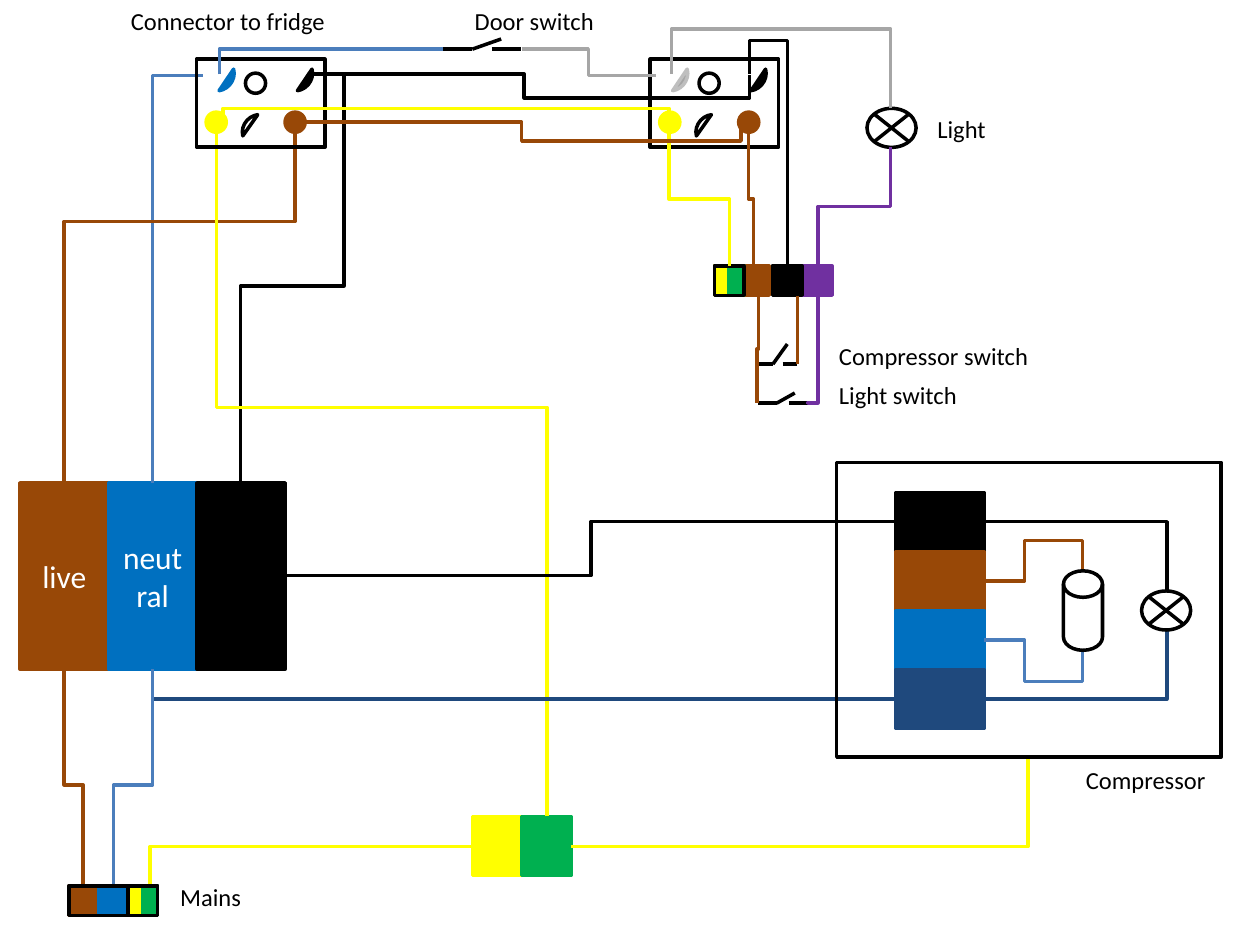
from lxml import etree
from pptx import Presentation
from pptx import util as u
from pptx.dml.color import RGBColor
from pptx.enum import shapes, text
from pptx.oxml.ns import qn

COLORS = {
    "black": "000000", "white": "FFFFFF", "brown": "984807", "blue": "0070C0",
    "wire blue": "4B7EBC", "navy": "1F497D", "yellow": "FFFF00",
    "green": "00B050", "purple": "7030A0", "gray": "A6A6A6", "silver": "BFBFBF",
}
FORM = shapes.MSO_SHAPE
PIN = 16.9  # side of a small terminal


class Diagram:
    font = "Calibri"
    line_width = 2

    def __init__(self, slide):
        self.slide = slide

    def color(self, name):
        return RGBColor.from_string(COLORS[name])

    def block(self, form, x, y, w, h, fill=None, line=None, label="", turn=0):
        block = self.slide.shapes.add_shape(form, *map(u.Pt, (x, y, w, h)))
        block.shadow.inherit = False
        block.rotation = turn
        if fill:
            block.fill.solid()
            block.fill.fore_color.rgb = self.color(fill)
        else:
            block.fill.background()
        block.line.color.rgb = self.color(line or fill or "black")
        block.line.width = u.Pt(self.line_width)
        if label:
            block.text_frame.text = label
            self.style(block.text_frame.paragraphs[0], 18, "white")
            block.text_frame.paragraphs[0].alignment = text.PP_ALIGN.CENTER
        return block

    def style(self, paragraph, size, color):
        paragraph.font.name = self.font
        paragraph.font.size = u.Pt(size)
        paragraph.font.color.rgb = self.color(color)

    def caption(self, words, x, y, w):
        box = self.slide.shapes.add_textbox(*map(u.Pt, (x, y, w, 24.2)))
        frame = box.text_frame
        frame.word_wrap = False
        frame.auto_size = text.MSO_AUTO_SIZE.SHAPE_TO_FIT_TEXT
        frame.text = words
        self.style(frame.paragraphs[0], 14, "black")

    def connector(self, kind, color, *ends):
        wire = self.slide.shapes.add_connector(kind, *map(u.Pt, ends))
        wire.line.color.rgb = self.color(color)
        wire.line.width = u.Pt(self.line_width)
        etree.SubElement(wire._element.spPr, qn("a:effectLst"))
        return wire

    def line(self, color, *ends):
        self.connector(shapes.MSO_CONNECTOR.STRAIGHT, color, *ends)

    def wire(self, color, direction, x, y, *stops):
        """Elbow wire; stops are the coordinates reached in turn, axis by axis."""
        start = (x, y) if direction == "h" else (y, x)
        # The last two stops give the end point on either axis
        end = [0, 0]
        for i, stop in enumerate(stops):
            end[i % 2] = stop
        along, across = end[0] - start[0], end[1] - start[1]
        bends = [(stops[i] - start[i]) / (along, across)[i]
                 for i in range(len(stops) - 2)]
        if direction == "h":
            dx, dy, turn = along, across, 0
            mid_x, mid_y = x + dx / 2, y + dy / 2
        else:
            mid_x, mid_y = x + across / 2, y + along / 2
            quarter = 1 if along * across < 0 else -1
            dx, dy, turn = quarter * along, -quarter * across, 90 * quarter % 360
        wire = self.connector(shapes.MSO_CONNECTOR.ELBOW, color, mid_x - dx / 2,
                              mid_y - dy / 2, mid_x + dx / 2, mid_y + dy / 2)
        # Turn, number of bends and their places
        properties = wire._element.spPr
        if turn:
            properties.find(qn("a:xfrm")).set("rot", str(turn * 60000))
        shape = properties.find(qn("a:prstGeom"))
        shape.set("prst", f"bentConnector{len(stops)}")
        guides = shape.find(qn("a:avLst"))
        if guides is None:
            guides = etree.SubElement(shape, qn("a:avLst"))
        for i, bend in enumerate(bends, 1):
            etree.SubElement(guides, qn("a:gd"), name=f"adj{i}",
                             fmla=f"val {round(bend * 100000)}")

    def earth_pin(self, x, y):
        for i, half in enumerate(("yellow", "green")):
            self.block(FORM.RECTANGLE, x + i * PIN / 2, y, PIN / 2, PIN, half)
        self.block(FORM.RECTANGLE, x, y, PIN, PIN)

    def socket(self, x, y, neutral, neutral_line):
        for dx, dy, turn, fill, line in (
                (48.2, 0.9, 311.6, "black", "black"),
                (3.4, 0.9, 311.6, neutral, neutral_line),
                (25.6, 32.3, 132.7, None, "black")):
            chord = self.block(FORM.CHORD, x + dx, y + dy, 18.7, 16.6, fill, line, turn=turn)
            chord.adjustments[0], chord.adjustments[1] = 15.74, 82.46
        for dx, dy, fill in ((28, 8, None), (5.5, 30.3, "yellow"), (50.6, 30.3, "brown")):
            self.block(FORM.OVAL, x + dx, y + dy, 11.5, 11.5, fill)
        self.block(FORM.RECTANGLE, x, y, 73.4, 50.4)

    def switch(self, x, y, w, rise):
        hinge = x + 0.37 * w
        self.line("black", x, y, hinge, y)
        self.line("black", x + 0.62 * w, y, x + w, y)
        self.line("black", x + 0.74 * w, y - rise, hinge, y)

    def lamp(self, x, y):
        self.block(FORM.FLOWCHART_SUMMING_JUNCTION, x, y, 28.1, 22.3)


deck = Presentation()
deck.slide_width, deck.slide_height = u.Pt(720), u.Pt(540)
diagram = Diagram(deck.slides.add_slide(deck.slide_layouts[6]))

# Main terminals
for i, (fill, label) in enumerate((("brown", "live"), ("blue", "neutral"), ("black", ""))):
    diagram.block(FORM.RECTANGLE, 11.5 + 50.5 * i, 275.8, 50.5, 106.6, fill, label=label)

# Compressor terminals
for i, fill in enumerate(("black", "brown", "blue", "navy")):
    diagram.block(FORM.RECTANGLE, 511.9, 281.5 + 33.7 * i, 50.4, 33.7, fill)

# Earth block
for i, fill in enumerate(("yellow", "green")):
    diagram.block(FORM.RECTANGLE, 270 + 28.1 * i, 466.6, 28.1, 33.8, fill)

# Fridge terminals
for x, fill in ((422.6, "brown"), (458.6, "purple"), (441.4, "black")):
    diagram.block(FORM.RECTANGLE, x, 151.9, PIN, PIN, fill)
diagram.earth_pin(408.2, 151.9)

# Wires of the main terminals, compressor and mains
for route in (
        ("wire blue", "v", 87.1, 275.8, 43.2, 115.9),
        ("brown", "v", 36.7, 275.8, 126.7, 168.5, 75.6),
        ("black", "v", 137.5, 275.8, 163.4, 196.6, 42.5, 178.6),
        ("yellow", "v", 312.5, 466.6, 232.6, 123.8, 75.6),
        ("black", "h", 163.4, 329, 337.7, 298.1, 511.9),
        ("navy", "v", 87.1, 382.3, 399.6, 511.9),
        ("brown", "h", 562.3, 331.9, 585.4, 308.9, 618.5, 326.2),
        ("wire blue", "h", 562.3, 365.8, 585.4, 389.5, 618.5, 371.5),
        ("brown", "v", 47.5, 514.8, 448.6, 36.7, 382.3),
        ("wire blue", "v", 64.8, 514.8, 448.6, 87.1, 382.3),
        ("yellow", "v", 85.7, 506.2, 483.8, 270),
        ("yellow", "h", 326.2, 483.8, 587.5, 433.4),
        ("black", "h", 562.3, 298.1, 666.7, 337.7),
        ("navy", "h", 562.3, 399.6, 666.7, 360)):
    diagram.wire(*route)

# Compressor
diagram.block(FORM.FLOWCHART_MAGNETIC_DISK, 607.7, 326.2, 22.3, 45.4, "white", "black")
diagram.block(FORM.RECTANGLE, 478.1, 264.2, 219.6, 168.5)
diagram.lamp(652.3, 337.7)

# Mains plug
for i, fill in enumerate(("brown", "blue")):
    diagram.block(FORM.RECTANGLE, 39.3 + PIN * i, 506.2, PIN, PIN, fill)
diagram.earth_pin(39.3 + 2 * PIN, 506.2)
diagram.block(FORM.RECTANGLE, 39.3, 506.2, 3 * PIN, PIN)

# Fridge connector and its counterpart
diagram.socket(112.3, 33.8, "blue", "blue")
diagram.socket(371.5, 33.8, "gray", "silver")
diagram.lamp(495.4, 61.9)

# Door, light and compressor switches
for place in ((253.4, 28.1, 44.6, 5.8), (433.4, 230.4, 28.1, 5.8), (433.4, 208.1, 22.3, 11.5)):
    diagram.switch(*place)

# Wires of the fridge
for route in (
        ("wire blue", "v", 125.3, 42.5, 28.1, 253.4),
        ("gray", "h", 298.1, 28.1, 336.2, 43.2, 375.1),
        ("gray", "v", 509, 61.9, 16.6, 383.8, 42.5),
        ("purple", "v", 509, 84.2, 118.1, 467.3, 151.9),
        ("yellow", "v", 382.3, 75.6, 113.8, 416.9, 151.9),
        ("black", "v", 428.4, 42.5, 23, 450, 151.9),
        ("brown", "v", 427.7, 75.6, 113.8, 430.6, 151.9),
        ("black", "v", 428.4, 42.7, 55.4, 299.5, 42.4, 178.6),
        ("brown", "v", 423.4, 66.2, 80.6, 298.1, 69.8, 174.2),
        ("yellow", "v", 382.3, 64.1, 61.9, 127.4, 66.2),
        ("purple", "v", 467.3, 169.2, 230.2, 461.5, 230.4),
        ("brown", "v", 433.4, 168.5, 199.4, 432.7, 230.4)):
    diagram.wire(*route)
diagram.line("brown", 455.8, 208.1, 455.8, 169.2)

# Captions
for caption in (
        ("Connector to fridge", 67.7, 0, 126.7), ("Door switch", 264.2, 0, 82.8),
        ("Light", 528.5, 61.9, 42.5), ("Compressor switch", 472.3, 191.5, 123.8),
        ("Light switch", 472.3, 213.8, 82.8), ("Compressor", 613.4, 433.4, 83.5),
        ("Mains", 95.8, 500.4, 49.7)):
    diagram.caption(*caption)

deck.save("out.pptx")
